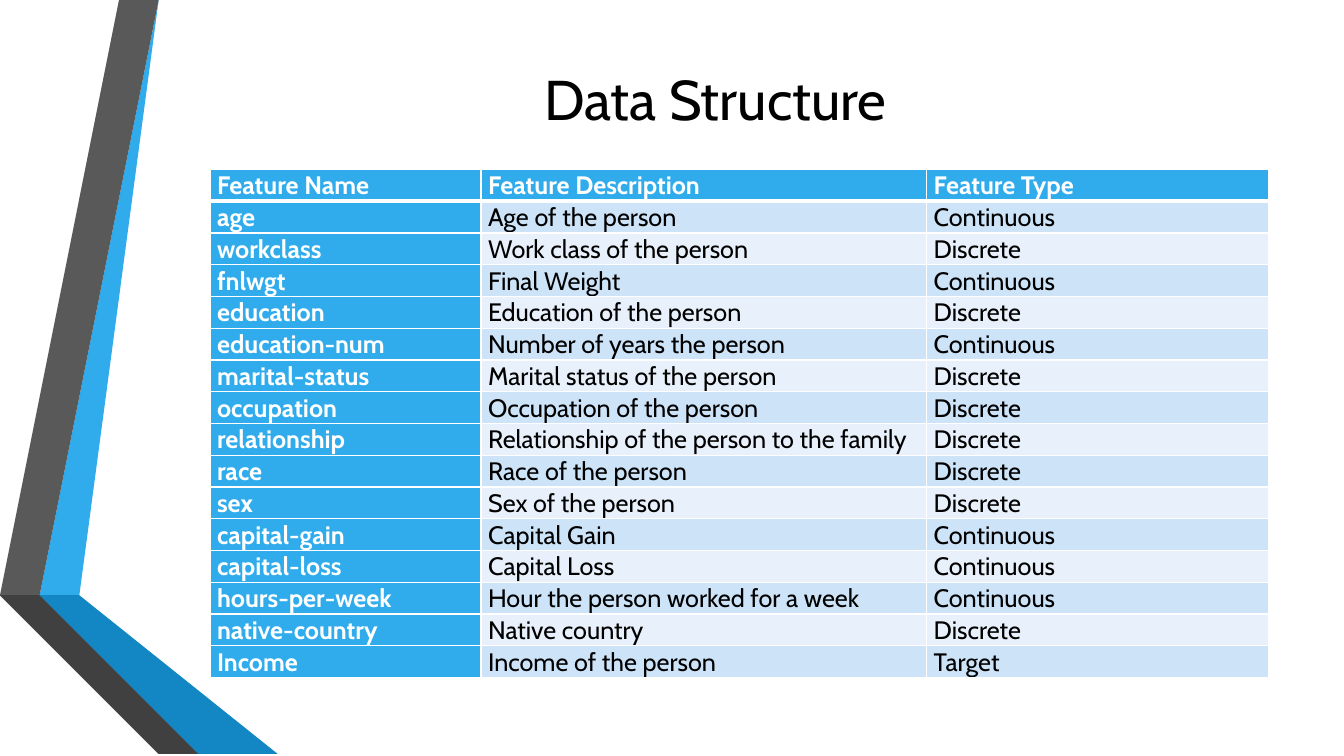
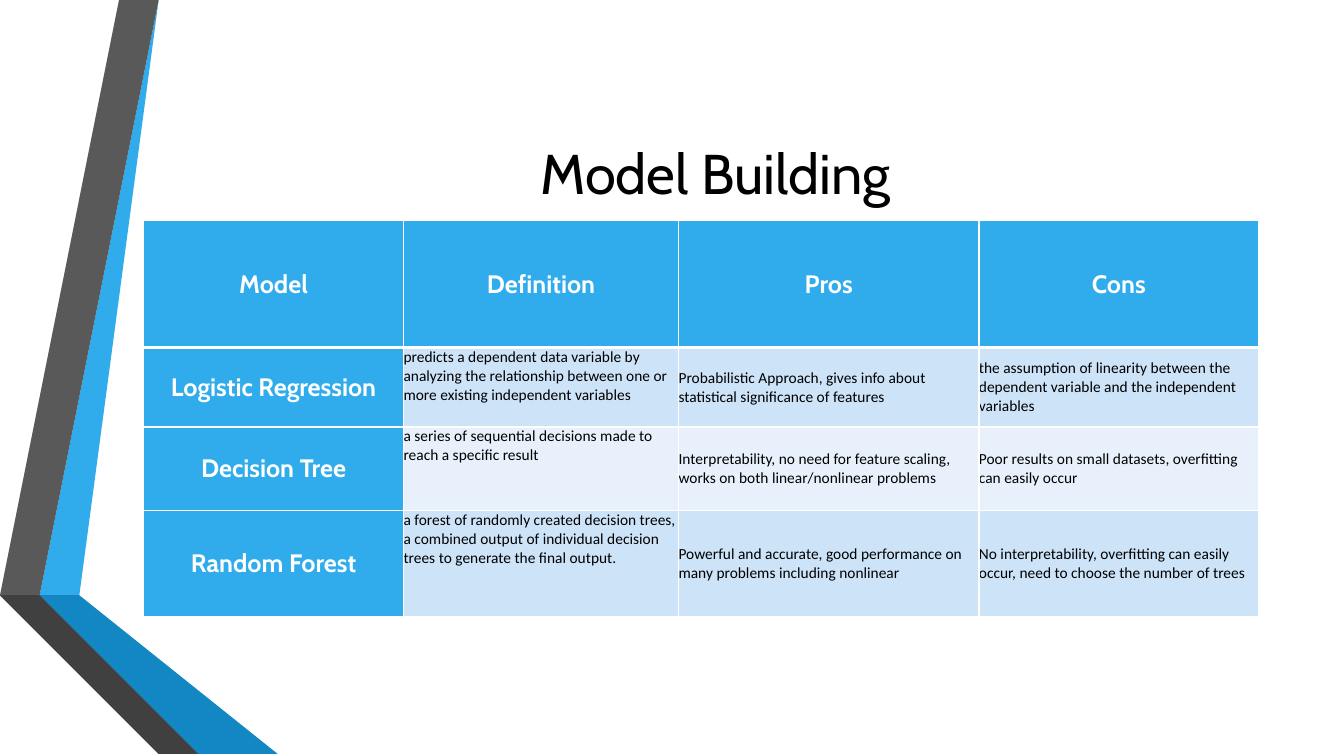
from lxml import etree
from pptx import Presentation
from pptx.dml.color import RGBColor
from pptx.enum import text
from pptx.oxml import ns
from pptx.util import Cm, Pt

BLUE = RGBColor(0x30, 0xAC, 0xEC)
DEEP_BLUE = RGBColor(0x12, 0x87, 0xC3)
NAVY = RGBColor(0x0C, 0x5A, 0x82)
GREY = RGBColor(0x59, 0x59, 0x59)
DARK_GREY = RGBColor(0x40, 0x40, 0x40)
CHARCOAL = RGBColor(0x26, 0x26, 0x26)
BAND_DARK = RGBColor(0xCD, 0xE3, 0xF8)
BAND_LIGHT = RGBColor(0xE8, 0xF1, 0xFB)
WHITE = RGBColor(0xFF, 0xFF, 0xFF)
BLACK = RGBColor(0, 0, 0)

HEAD_FONT = "Cabin"
TOP, MIDDLE, BOTTOM = text.MSO_ANCHOR.TOP, text.MSO_ANCHOR.MIDDLE, text.MSO_ANCHOR.BOTTOM
LEFT, CENTER = text.PP_ALIGN.LEFT, text.PP_ALIGN.CENTER

# Ribbon outlines down the left edge, points in cm
RIBBONS = [
    (BLUE, [(1.27, 14.68), (1.96, 14.81), (4.39, 0), (3.68, 0)]),
    (GREY, [(3.53, 0), (2.82, 0), (0.42, 14.55), (1.12, 14.66)]),
    (CHARCOAL, [(0.42, 14.55), (3.68, 19.05), (3.84, 19.05)]),
    (NAVY, [(1.27, 14.7), (5.28, 19.05), (5.44, 19.05)]),
    (DEEP_BLUE, [(1.27, 14.7), (5.44, 19.05), (7.19, 19.05), (1.96, 14.81), (1.27, 14.68)]),
    (DARK_GREY, [(5.13, 19.05), (1.22, 14.81), (1.12, 14.66), (0.42, 14.55), (3.84, 19.05)]),
]

FEATURES = [
    ("Feature Name", "Feature Description", "Feature Type"),
    ("age", "Age of the person", "Continuous"),
    ("workclass", "Work class of the person", "Discrete"),
    ("fnlwgt", "Final Weight", "Continuous"),
    ("education", "Education of the person", "Discrete"),
    ("education-num", "Number of years the person", "Continuous"),
    ("marital-status", "Marital status of the person", "Discrete"),
    ("occupation", "Occupation of the person", "Discrete"),
    ("relationship", "Relationship of the person to the family", "Discrete"),
    ("race", "Race of the person", "Discrete"),
    ("sex", "Sex of the person", "Discrete"),
    ("capital-gain", "Capital Gain", "Continuous"),
    ("capital-loss", "Capital Loss", "Continuous"),
    ("hours-per-week", "Hour the person worked for a week", "Continuous"),
    ("native-country", "Native country", "Discrete"),
    ("Income", "Income of the person", "Target"),
]

MODELS = [
    ("Model", "Definition", "Pros", "Cons"),
    ("Logistic Regression",
     "predicts a dependent data variable by analyzing the relationship between one or more "
     "existing independent variables",
     "Probabilistic Approach, gives info about statistical significance of features",
     "the assumption of linearity between the dependent variable and the independent variables"),
    ("Decision Tree",
     "a series of sequential decisions made to reach a specific result",
     "Interpretability, no need for feature scaling, works on both linear/nonlinear problems",
     "Poor results on small datasets, overfitting can easily occur"),
    ("Random Forest",
     "a forest of randomly created decision trees, a combined output of individual decision "
     "trees to generate the final output.",
     "Powerful and accurate, good performance on many problems including nonlinear",
     "No interpretability, overfitting can easily occur, need to choose the number of trees"),
]

# Places in cm; body_anchors has one entry per column
SLIDES = [
    dict(title="Data Structure", title_top=0.91, title_height=3.15, data=FEATURES,
         left=5.29, top=4.27, cols=[6.83, 11.23, 8.61], rows=[0.8] * len(FEATURES),
         head_align=LEFT, head_anchor=BOTTOM, body_anchors=[BOTTOM] * 3,
         body_font=HEAD_FONT, body_size=18, inset=0.18),
    dict(title="Model Building", title_top=1.9, title_height=4.88, data=MODELS,
         left=3.62, top=5.56, cols=[6.55, 6.93, 7.57, 7.05], rows=[3.2, 2.0, 2.1, 2.67],
         head_align=CENTER, head_anchor=MIDDLE, body_anchors=[MIDDLE, TOP, MIDDLE, MIDDLE],
         body_font="Calibri", body_size=11, inset=0),
]


def set_borders(cell, top, bottom):
    """Draw white cell borders; top and bottom are widths in points."""
    tcPr = cell._tc.get_or_add_tcPr()
    for side, width in (("L", 1), ("R", 1), ("T", top), ("B", bottom)):
        ln = etree.SubElement(tcPr, ns.qn("a:ln" + side), w=str(Pt(width)))
        fill = etree.SubElement(ln, ns.qn("a:solidFill"))
        etree.SubElement(fill, ns.qn("a:srgbClr"), val=str(WHITE))


def set_font(p, name, size, color, bold=False):
    p.font.name, p.font.size, p.font.bold = name, Pt(size), bold
    p.font.color.rgb = color


prs = Presentation()
prs.slide_width, prs.slide_height = Cm(33.87), Cm(19.05)

for page in SLIDES:
    s = prs.slides.add_slide(prs.slide_layouts[6])

    # Ribbons
    for color, points in RIBBONS:
        outline = s.shapes.build_freeform(*points[0], scale=Cm(1))
        outline.add_line_segments(points[1:], close=True)
        sp = outline.convert_to_shape()
        sp.shadow.inherit = False
        sp.fill.solid()
        sp.fill.fore_color.rgb = color
        sp.line.fill.background()

    # Title
    sp = s.shapes.add_textbox(Cm(4.11), Cm(page["title_top"]), Cm(27.84), Cm(page["title_height"]))
    tf = sp.text_frame
    tf.word_wrap = True
    tf.vertical_anchor = MIDDLE
    p = tf.paragraphs[0]
    p.text = page["title"]
    p.alignment = CENTER
    set_font(p, HEAD_FONT, 40, BLACK)

    # Table
    cols, rows = page["cols"], page["rows"]
    table = s.shapes.add_table(len(rows), len(cols), Cm(page["left"]), Cm(page["top"]),
                               Cm(sum(cols)), Cm(sum(rows))).table
    for column, width in zip(table.columns, cols):
        column.width = Cm(width)
    for row, height in zip(table.rows, rows):
        row.height = Cm(height)

    for i, values in enumerate(page["data"]):
        for j, value in enumerate(values):
            cell = table.cell(i, j)
            is_head = i == 0 or j == 0
            set_borders(cell, top=3 if i == 1 else 1, bottom=3 if i == 0 else 1)
            cell.fill.solid()
            cell.fill.fore_color.rgb = BLUE if is_head else BAND_DARK if i % 2 else BAND_LIGHT
            cell.margin_left = cell.margin_right = Cm(page["inset"])
            cell.margin_top = cell.margin_bottom = 0
            cell.vertical_anchor = page["head_anchor"] if is_head else page["body_anchors"][j]
            p = cell.text_frame.paragraphs[0]
            p.text = value
            if is_head:
                p.alignment = page["head_align"]
                set_font(p, HEAD_FONT, 18, WHITE, bold=True)
            else:
                p.alignment = LEFT
                set_font(p, page["body_font"], page["body_size"], BLACK)

prs.save("out.pptx")
